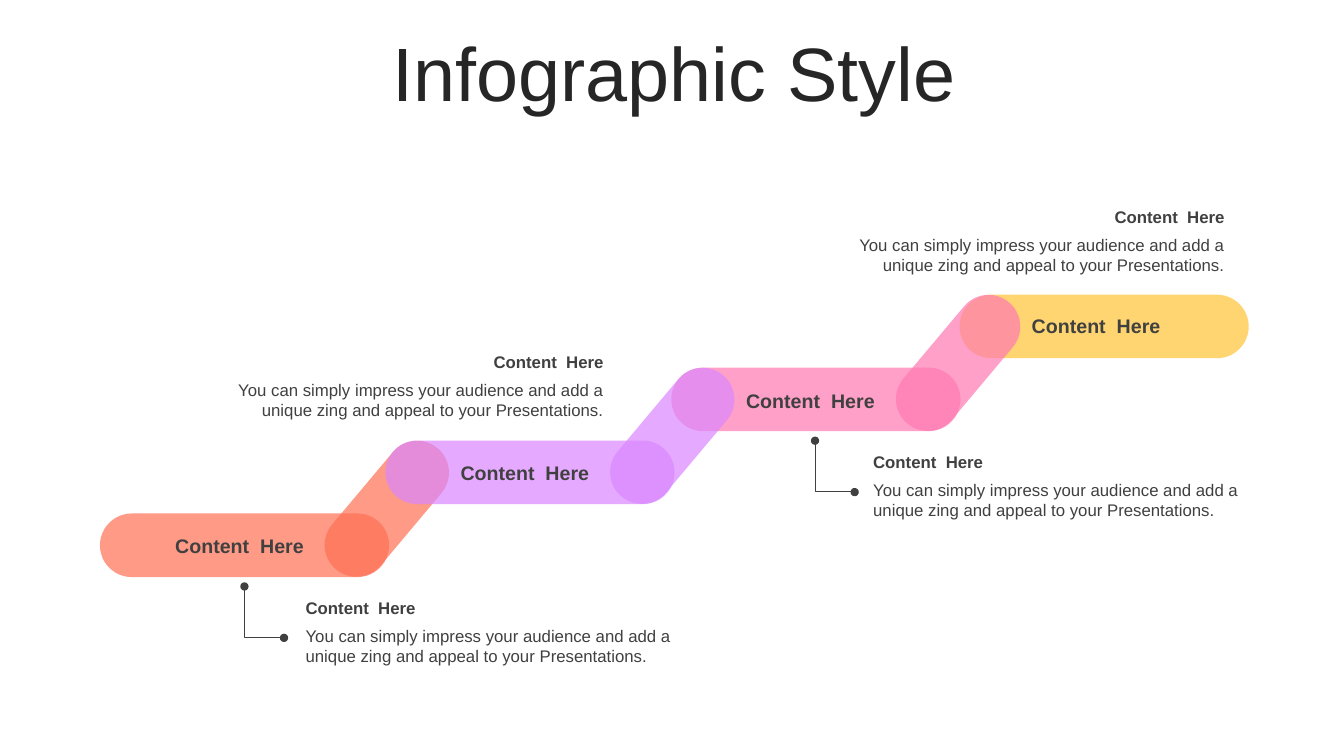
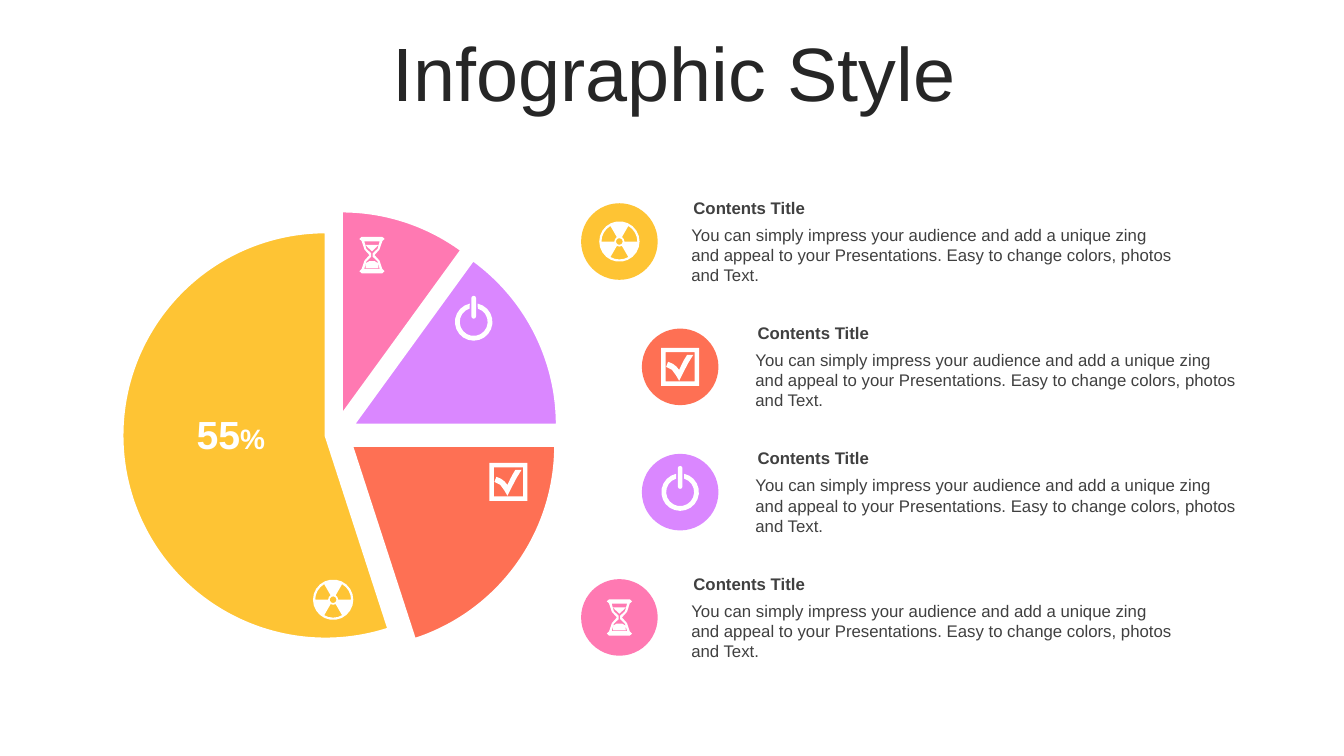
import math

import lxml.etree
import pptx
import pptx.chart.data
import pptx.dml.color
import pptx.enum.chart
import pptx.enum.shapes
import pptx.enum.text
import pptx.oxml.ns
import pptx.util

Pt = pptx.util.Pt
RGBColor = pptx.dml.color.RGBColor
ALIGN = pptx.enum.text.PP_ALIGN
ANCHOR = pptx.enum.text.MSO_ANCHOR
SHAPE = pptx.enum.shapes.MSO_SHAPE
qn = pptx.oxml.ns.qn

ORANGE = RGBColor(0xFE, 0x70, 0x54)
PURPLE = RGBColor(0xDA, 0x87, 0xFF)
PINK = RGBColor(0xFF, 0x79, 0xB2)
YELLOW = RGBColor(0xFE, 0xC4, 0x34)
TITLE = RGBColor(0x26, 0x26, 0x26)
TEXT = RGBColor(0x40, 0x40, 0x40)
WHITE = RGBColor(0xFF, 0xFF, 0xFF)
BLACK = RGBColor(0, 0, 0)
FONT = "Arial"

STEP_TITLE = "Content  Here"
STEP_TEXT = "You can simply impress your audience and add a unique zing and appeal to your Presentations."
CARD_TITLE = "Contents Title"
CARD_TEXT = STEP_TEXT + " Easy to change colors, photos and Text."


def arc(radius, start, end, x=0, y=0):
    largest_turn = 2 * math.degrees(math.acos(1 - 0.15 / radius))
    count = math.ceil(abs(end - start) / largest_turn)
    angles = [math.radians(start + (end - start) * i / count) for i in range(count + 1)]
    return [(x + radius * math.cos(a), y + radius * math.sin(a)) for a in angles]


def curve(*points):
    result = []
    for t in (0.33, 0.67, 1):
        weights = ((1 - t) ** 3, 3 * t * (1 - t) ** 2, 3 * t * t * (1 - t), t ** 3)
        result.append(tuple(sum(w * p[axis] for w, p in zip(weights, points)) for axis in (0, 1)))
    return result


def square(half):
    return [(-half, -half), (half, -half), (half, half), (-half, half)]


def mirrored(right_side):
    return right_side + [(-x, y) for x, y in reversed(right_side)]


def hourglass_wall(upper_right):
    return mirrored(upper_right + [(x, -y) for x, y in reversed(upper_right)])


RADIATION = [arc(14.4, 0, 360), arc(2.4, 0, 360)] + [
    arc(12.8, start, start + 60) + arc(3.6, start + 60, start) for start in (60, 180, 300)]
CHECK = [
    square(13.6),
    square(10.4),
    [(-10, 0), (-8.6, -3.6)]
    + curve((-8.6, -3.6), (-4.3, -2.2), (-2.9, -0.7), (-0.7, 2.2))
    + curve((-0.7, 2.2), (1.4, -2.2), (2.2, -4.3), (5, -8.6))
    + [(9.4, -8.6)]
    + curve((9.4, -8.6), (5.8, -3.6), (2.2, 4.3), (-0.7, 10))
    + curve((-0.7, 10), (-2.9, 6.5), (-5, 0.7), (-10, 0)),
]
POWER = [
    arc(13.4, -78, 258) + arc(10, 253, -73),
    arc(1.7, 180, 360, y=-17) + arc(1.7, 0, 180, y=-4),
]
HOURGLASS = [
    hourglass_wall([(7.4, -13), (9, -11.5), (7.4, -10), (5.4, -4), (1.8, 0)]),
    hourglass_wall([(5.5, -9.8), (4, -4.5), (0.5, -1.2)]),
    mirrored([(4.5, -7.2), (3.2, -5.7), (0, -2.7)]),
    mirrored([(2, 4.4), (4.3, 5.8), (4.6, 9.3)]),
]


class Deck:
    def __init__(self):
        self.deck = pptx.Presentation()
        self.deck.slide_width, self.deck.slide_height = Pt(960), Pt(540)
        self.page = None

    def add_page(self, title):
        self.page = self.deck.slides.add_slide(self.deck.slide_layouts[5])
        box = self.page.shapes.title
        box.left, box.top, box.width, box.height = Pt(25.8), Pt(26.6), Pt(911.5), Pt(56.9)
        para = self.fill_text(box, [(title, 54, False, TITLE)], ALIGN.CENTER, ANCHOR.MIDDLE)
        para.line_spacing = 0.9

    def fill_text(self, box, spans, align, anchor):
        frame = box.text_frame
        frame.word_wrap = True
        frame.auto_size = pptx.enum.text.MSO_AUTO_SIZE.NONE
        frame.vertical_anchor = anchor
        para = frame.paragraphs[0]
        para.alignment = align
        for words, size, bold, color in spans:
            span = para.add_run()
            span.text = words
            span.font.name, span.font.size, span.font.bold = FONT, Pt(size), bold
            span.font.color.rgb = color
        return para

    def text(self, left, top, width, height, spans, align=ALIGN.LEFT, anchor=ANCHOR.TOP,
             insets=(7.2, 7.2)):
        box = self.page.shapes.add_textbox(Pt(left), Pt(top), Pt(width), Pt(height))
        box.text_frame.margin_left, box.text_frame.margin_right = map(Pt, insets)
        self.fill_text(box, spans, align, anchor)

    def paint(self, shape, color):
        shape.shadow.inherit = False
        shape.fill.solid()
        shape.fill.fore_color.rgb = color
        shape.line.fill.background()

    def bar(self, left, top, width, color, rotation=0):
        shape = self.page.shapes.add_shape(
            SHAPE.ROUNDED_RECTANGLE, Pt(left), Pt(top), Pt(width), Pt(45.4))
        shape.adjustments[0] = 0.5
        shape.rotation = rotation
        self.paint(shape, color)
        tint = next(shape._element.spPr.iter(qn("a:srgbClr")))
        lxml.etree.SubElement(tint, qn("a:alpha"), val="70000")

    def disc(self, left, top, size, color):
        shape = self.page.shapes.add_shape(SHAPE.OVAL, Pt(left), Pt(top), Pt(size), Pt(size))
        self.paint(shape, color)

    def icon(self, x, y, outlines):
        builder = None
        for outline in outlines:
            points = [(Pt(x + dx), Pt(y + dy)) for dx, dy in outline]
            if builder is None:
                builder = self.page.shapes.build_freeform(*points[0], scale=1.0)
            else:
                builder.move_to(*points[0])
            builder.add_line_segments(points[1:], close=True)
        self.paint(builder.convert_to_shape(), WHITE)

    def pointer(self, x, y):
        left, top, width, height = x - 3.8, y + 4.2, 36.7, 28.3
        line = self.page.shapes.add_connector(
            pptx.enum.shapes.MSO_CONNECTOR.ELBOW,
            Pt(left + width), Pt(top), Pt(left), Pt(top + height))
        line.line.color.rgb = TEXT
        line.line.width = Pt(0.5)
        properties = line._element.spPr
        properties.find(qn("a:xfrm")).set("rot", "16200000")
        guides = properties.find(qn("a:prstGeom")).get_or_add_avLst()
        lxml.etree.SubElement(guides, qn("a:gd"), name="adj1", fmla="val 99200")
        for end in ("a:headEnd", "a:tailEnd"):
            lxml.etree.SubElement(properties.find(qn("a:ln")), qn(end), type="oval")
        lxml.etree.SubElement(properties, qn("a:effectLst"))

    def pie(self, left, top, width, height, slices):
        data = pptx.chart.data.CategoryChartData()
        data.categories = [str(i + 1) for i in range(len(slices))]
        data.add_series("Series 1", [value for value, color, offset in slices])
        chart = self.page.shapes.add_chart(
            pptx.enum.chart.XL_CHART_TYPE.PIE,
            Pt(left), Pt(top), Pt(width), Pt(height), data).chart
        chart.has_title = chart.has_legend = False
        chart.font.name, chart.font.size = FONT, Pt(10)
        chart.font.color.rgb = BLACK
        plot = chart.plots[0]
        plot.vary_by_categories = True
        series = plot.series[0]
        for i, (value, color, offset) in enumerate(slices):
            style = series.points[i].format
            style.fill.solid()
            style.fill.fore_color.rgb = color
            style.line.color.rgb = WHITE
            style.line.width = Pt(1.5)
            properties = series._element.findall(qn("c:dPt"))[i].find(qn("c:spPr"))
            properties.addprevious(lxml.etree.Element(qn("c:explosion"), val=str(offset)))
        explosion = lxml.etree.Element(qn("c:explosion"), val="10")
        series._element.find(qn("c:dPt")).addprevious(explosion)

    def save(self):
        self.deck.save("out.pptx")


def build_steps(deck):
    deck.add_page("Infographic Style")
    colors = (ORANGE, PURPLE, PINK, YELLOW)
    lefts = (71.4, 275.3, 479.5, 685.4)
    corners = [(left, 366.8 - 52.1 * i) for i, left in enumerate(lefts)]
    for i in (0, 3, 2, 1):
        left, top = corners[i]
        deck.bar(left, top, 206.6, colors[i])
        if i < 3:
            deck.bar(left + 148.4, top - 26.1, 113, colors[i], rotation=310)

    labels = ((115.2, 377.7), (319, 325.7), (523, 274.1), (727, 220.5))
    notes = ((218.3, 423.4, 279.4, ALIGN.LEFT), (153.2, 247.7, 285.1, ALIGN.RIGHT),
             (623.7, 319, 268.6, ALIGN.LEFT), (596.8, 144, 285.1, ALIGN.RIGHT))
    insets = (0, 7.2)
    for (left, top), (x, y, width, align) in zip(labels, notes):
        deck.text(left, top, 119, 24.5, [(STEP_TITLE, 14, True, TEXT)],
                  ALIGN.CENTER, ANCHOR.MIDDLE, insets)
        deck.text(x, y, width, 21.6, [(STEP_TITLE, 12, True, TEXT)],
                  align, ANCHOR.MIDDLE, insets)
        deck.text(x, y + 20.2, width, 36, [(STEP_TEXT, 12, False, TEXT)],
                  align, insets=insets)
    for x, y in ((174.2, 418.9), (581.8, 314.8)):
        deck.pointer(x, y)


def build_shares(deck):
    deck.add_page("Infographic Style")
    size = 54.7
    cards = ((415.1, 486.7, YELLOW, RADIATION), (458.5, 532.5, ORANGE, CHECK),
             (458.5, 532.5, PURPLE, POWER), (415.1, 486.7, PINK, HOURGLASS))
    for i, (left, text_left, color, outlines) in enumerate(cards):
        top = 145.2 + 89.5 * i
        deck.disc(left, top, size, color)
        deck.icon(left + size / 2, top + size / 2, outlines)
        deck.text(text_left, top - 7.7, 358.6, 21.6, [(CARD_TITLE, 12, True, TEXT)],
                  insets=(8.6, 8.6))
        deck.text(text_left, top + 11.6, 358.6, 51, [(CARD_TEXT, 12, False, TEXT)])

    deck.pie(69.1, 140.4, 341.3, 339.1,
             ((10, PINK, 10), (15, PURPLE, 10), (20, ORANGE, 10), (55, YELLOW, 5)))
    deck.text(128.2, 289.4, 73.4, 41, [("55", 28, True, WHITE), ("%", 20, True, WHITE)],
              ALIGN.CENTER)
    for x, y, outlines in ((363.2, 344.2, CHECK), (265.7, 182.2, HOURGLASS),
                           (338.4, 230, POWER), (238, 428.4, RADIATION)):
        deck.icon(x, y, outlines)


def main():
    deck = Deck()
    build_steps(deck)
    build_shares(deck)
    deck.save()


if __name__ == "__main__":
    main()
